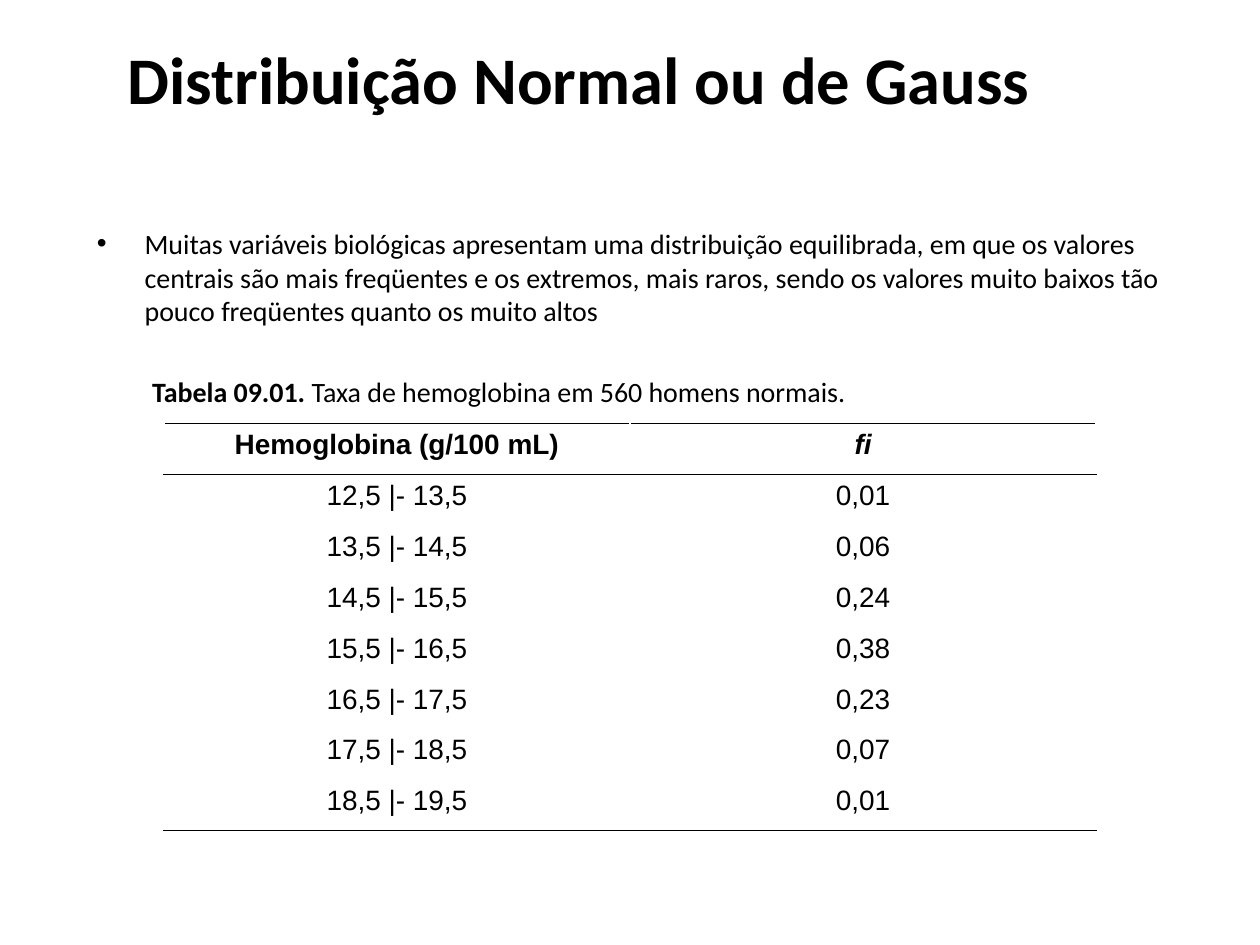
from dataclasses import dataclass

from lxml import etree
from pptx import Presentation
from pptx.dml.color import RGBColor
from pptx.enum.text import MSO_ANCHOR, PP_ALIGN
from pptx.oxml.ns import qn
from pptx.util import Inches, Pt

CENTER = PP_ALIGN.CENTER
TOP = MSO_ANCHOR.TOP
TITLE_ONLY = 5


@dataclass(frozen=True)
class Theme:
    """Colours, typefaces and sizes of the slide."""
    ink: str = "000000"
    text_face: str = "Calibri"
    table_face: str = "Arial"
    title_size: float = 38
    text_size: float = 16
    rule_width: float = 0.45


THEME = Theme()
TITLE = "Distribuição Normal ou de Gauss"
STATEMENT = (
    "Muitas variáveis biológicas apresentam uma distribuição equilibrada, "
    "em que os valores centrais são mais freqüentes e os extremos, mais raros, "
    "sendo os valores muito baixos tão pouco freqüentes quanto os muito altos"
)
CAPTION_LABEL = "Tabela 09.01. "
CAPTION = "Taxa de hemoglobina em 560 homens normais."
HEADERS = ("Hemoglobina (g/100 mL)", "fi")
FREQUENCIES = (
    ("12,5 |- 13,5", "0,01"),
    ("13,5 |- 14,5", "0,06"),
    ("14,5 |- 15,5", "0,24"),
    ("15,5 |- 16,5", "0,38"),
    ("16,5 |- 17,5", "0,23"),
    ("17,5 |- 18,5", "0,07"),
    ("18,5 |- 19,5", "0,01"),
)


def style_font(font, face, size, bold=False, italic=False):
    """Apply a typeface, size and emphasis in the ink colour."""
    font.name = face
    font.size = Pt(size)
    font.bold = bold
    font.italic = italic
    font.color.rgb = RGBColor.from_string(THEME.ink)


def add_title(page):
    """Place and format the title placeholder."""
    title = page.shapes.title
    title.left, title.top = Inches(0.21), Inches(0.25)
    title.width, title.height = Inches(8.77), Inches(1)
    frame = title.text_frame
    frame.text = TITLE
    frame.vertical_anchor = TOP
    para = frame.paragraphs[0]
    para.alignment = CENTER
    style_font(para.font, THEME.text_face, THEME.title_size, bold=True)


def indent_paragraph(para, left, first=0):
    """Set the left margin and first-line offset of a paragraph."""
    properties = para._p.get_or_add_pPr()
    properties.set("marL", str(Inches(left)))
    properties.set("indent", str(Inches(first)))
    return properties


def add_body(page):
    """Add the bulleted statement and the table caption below it."""
    box = page.shapes.add_textbox(Inches(0.67), Inches(1.75), Inches(8.66), Inches(1.6))
    frame = box.text_frame
    frame.word_wrap = True

    statement = frame.paragraphs[0]
    statement.text = STATEMENT
    properties = indent_paragraph(statement, 0.38, -0.38)
    etree.SubElement(properties, qn("a:buFont"), typeface="Arial")
    etree.SubElement(properties, qn("a:buChar"), char="•")
    statement.space_before = Pt(4)
    style_font(statement.font, THEME.text_face, THEME.text_size)

    caption = frame.add_paragraph()
    indent_paragraph(caption, 0.44)
    caption.space_before = Pt(27)
    for words, bold in ((CAPTION_LABEL, True), (CAPTION, False)):
        span = caption.add_run()
        span.text = words
        style_font(span.font, THEME.text_face, THEME.text_size, bold)


def add_rule(cell, side):
    """Draw a thin line on one side of a cell."""
    line = etree.SubElement(
        cell._tc.get_or_add_tcPr(), qn(f"a:ln{side}"), w=str(Pt(THEME.rule_width))
    )
    fill = etree.SubElement(line, qn("a:solidFill"))
    etree.SubElement(fill, qn("a:srgbClr"), val=THEME.ink)


def fill_cell(cell, words, sides, bold, italic):
    """Write centred text in a clear cell ruled on the given sides."""
    for side in sides:
        add_rule(cell, side)
    cell.fill.background()
    cell.text = words
    para = cell.text_frame.paragraphs[0]
    para.alignment = CENTER
    para.space_before = Pt(4)
    style_font(para.font, THEME.table_face, THEME.text_size, bold, italic)


def add_frequency_table(page):
    """Add the table ruled around its header and at its foot."""
    rows = (HEADERS, *FREQUENCIES)
    table = page.shapes.add_table(
        len(rows), len(HEADERS), Inches(1.3), Inches(3.36), Inches(7.4), Inches(3.23)
    ).table
    table.first_row = False
    table.horz_banding = False
    rules = {0: "TB", 1: "T", len(rows) - 1: "B"}
    for row, values in enumerate(rows):
        header = row == 0
        for column, words in enumerate(values):
            italic = header and column == 1
            fill_cell(table.cell(row, column), words, rules.get(row, ""), header, italic)


def main():
    """Build and save the slide."""
    deck = Presentation()
    deck.slide_width, deck.slide_height = Inches(10), Inches(7.5)
    page = deck.slides.add_slide(deck.slide_layouts[TITLE_ONLY])
    add_title(page)
    add_body(page)
    add_frequency_table(page)
    deck.save("out.pptx")


if __name__ == "__main__":
    main()
